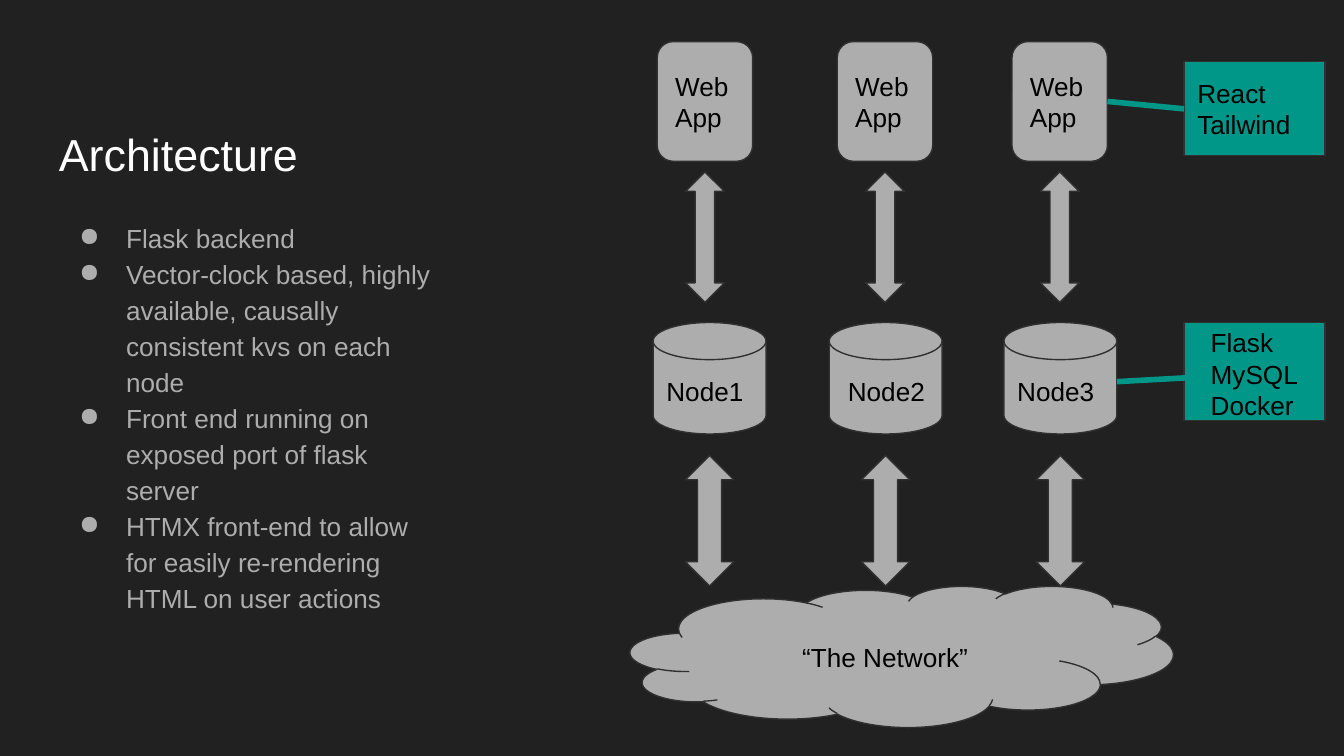
import pptx
import pptx.dml.color
import pptx.enum.shapes
import pptx.enum.text
import pptx.oxml.ns
import pptx.util
from lxml import etree

SHAPES = pptx.enum.shapes.MSO_SHAPE
ANCHORS = pptx.enum.text.MSO_ANCHOR

BACKGROUND = pptx.dml.color.RGBColor(0x21, 0x21, 0x21)
GREY = pptx.dml.color.RGBColor(0xAD, 0xAD, 0xAD)
OUTLINE = pptx.dml.color.RGBColor(0x30, 0x30, 0x30)
TEAL = pptx.dml.color.RGBColor(0x00, 0x96, 0x88)
WHITE = pptx.dml.color.RGBColor(0xFF, 0xFF, 0xFF)
BLACK = pptx.dml.color.RGBColor(0x00, 0x00, 0x00)

# The slide is a grid of square cells, 100 columns wide.
COLUMNS, ROWS = 100, 56.25
CELL = pptx.util.Inches(0.1)

APP_CENTERS = (52.45, 65.85, 78.85)
NODE_CENTERS = (52.8, 65.9, 78.9)
NODE_LABEL_CENTERS = (52.8, 66.3, 78.9)
NODE_WIDTH = 8.4
TECH_LEFT, TECH_WIDTH = 88.1, 10.5

BULLETS = (
    "Flask backend",
    "Vector-clock based, highly available, causally consistent kvs on each node",
    "Front end running on exposed port of flask server",
    "HTMX front-end to allow for easily re-rendering HTML on user actions",
)


def cells(*counts):
    return [round(count * CELL) for count in counts]


def write(shape, lines, size=14, color=BLACK, anchor=ANCHORS.TOP):
    """Fill a shape with left-aligned paragraphs, one per line."""
    frame = shape.text_frame
    frame.text = "\n".join(lines)
    frame.word_wrap = True
    frame.vertical_anchor = anchor
    frame.margin_left = frame.margin_right = CELL
    frame.margin_top = frame.margin_bottom = CELL
    for para in frame.paragraphs:
        para.alignment = pptx.enum.text.PP_ALIGN.LEFT
        for span in para.runs:
            span.font.name = "Arial"
            span.font.size = pptx.util.Pt(size)
            span.font.color.rgb = color


def add_label(page, area, lines, **style):
    box = page.shapes.add_textbox(*cells(*area))
    write(box, lines, **style)
    return box


def add_figure(page, kind, area, fill=GREY, lines=()):
    figure = page.shapes.add_shape(kind, *cells(*area))
    figure.shadow.inherit = False
    figure.fill.solid()
    figure.fill.fore_color.rgb = fill
    figure.line.color.rgb = OUTLINE
    figure.line.width = pptx.util.Pt(0.75)
    if lines:
        write(figure, lines, anchor=ANCHORS.MIDDLE)
    return figure


def add_tier(page, kind, centers, top, width, height, lines=()):
    """Repeat a figure around each center and return the figures."""
    return [
        add_figure(page, kind, (center - width / 2, top, width, height), lines=lines)
        for center in centers
    ]


def add_link(page, start=(0, 0), end=(0, 0)):
    link = page.shapes.add_connector(
        pptx.enum.shapes.MSO_CONNECTOR.STRAIGHT, *cells(*start, *end))
    link.line.color.rgb = TEAL
    link.line.width = pptx.util.Pt(3)
    properties = link._element.spPr
    etree.SubElement(properties, pptx.oxml.ns.qn("a:effectLst"))
    return link


def add_bullets(box):
    for para in box.text_frame.paragraphs:
        para.line_spacing = 1.15
        properties = para._p.get_or_add_pPr()
        properties.set("marL", str(pptx.util.Inches(0.5)))
        properties.set("indent", str(pptx.util.Inches(-0.35)))
        bullet = etree.SubElement(properties, pptx.oxml.ns.qn("a:buChar"))
        bullet.set("char", "●")


def add_summary(page):
    add_label(page, (3.4, 6.1, 30.7, 8.3), ["Architecture"],
              size=24, color=WHITE, anchor=ANCHORS.BOTTOM)
    add_bullets(add_label(page, (3.4, 15.2, 30.7, 34.8), BULLETS, color=GREY))


def add_network(page):
    add_figure(page, SHAPES.CLOUD, (46.9, 43.6, 40.4, 10.5))
    add_tier(page, SHAPES.UP_DOWN_ARROW, NODE_CENTERS, 33.9, 3.6, 9.7)
    add_label(page, (58.7, 46.7, 23, 4.4), ["“The Network”"])


def add_nodes(page):
    add_tier(page, SHAPES.FLOWCHART_MAGNETIC_DISK, NODE_CENTERS, 24, NODE_WIDTH, 8.3)
    for number, center in enumerate(NODE_LABEL_CENTERS, start=1):
        add_label(page, (center - NODE_WIDTH / 2, 26.9, NODE_WIDTH, 4.4),
                  [f"Node{number}"])
    add_figure(page, SHAPES.RECTANGLE, (TECH_LEFT, 24, TECH_WIDTH, 7.3), TEAL)
    add_link(page, (83.1, 28.4), (88.5, 28.1))
    add_label(page, (89.1, 23.3, 9, 9.1), ["Flask", "MySQL", "Docker"])


def add_apps(page):
    add_tier(page, SHAPES.UP_DOWN_ARROW, APP_CENTERS, 12.8, 2.9, 9.7)
    apps = add_tier(page, SHAPES.ROUNDED_RECTANGLE, APP_CENTERS, 3.1, 7.1, 8.9,
                    ["Web App"])
    tech = add_figure(page, SHAPES.RECTANGLE, (TECH_LEFT, 4.6, TECH_WIDTH, 7), TEAL,
                      ["React", "Tailwind"])
    link = add_link(page)
    link.begin_connect(apps[-1], 3)
    link.end_connect(tech, 1)


def main():
    deck = pptx.Presentation()
    deck.slide_width, deck.slide_height = cells(COLUMNS, ROWS)
    page = deck.slides.add_slide(deck.slide_layouts[6])
    page.background.fill.solid()
    page.background.fill.fore_color.rgb = BACKGROUND
    add_summary(page)
    add_network(page)
    add_nodes(page)
    add_apps(page)
    deck.save("out.pptx")


if __name__ == "__main__":
    main()
